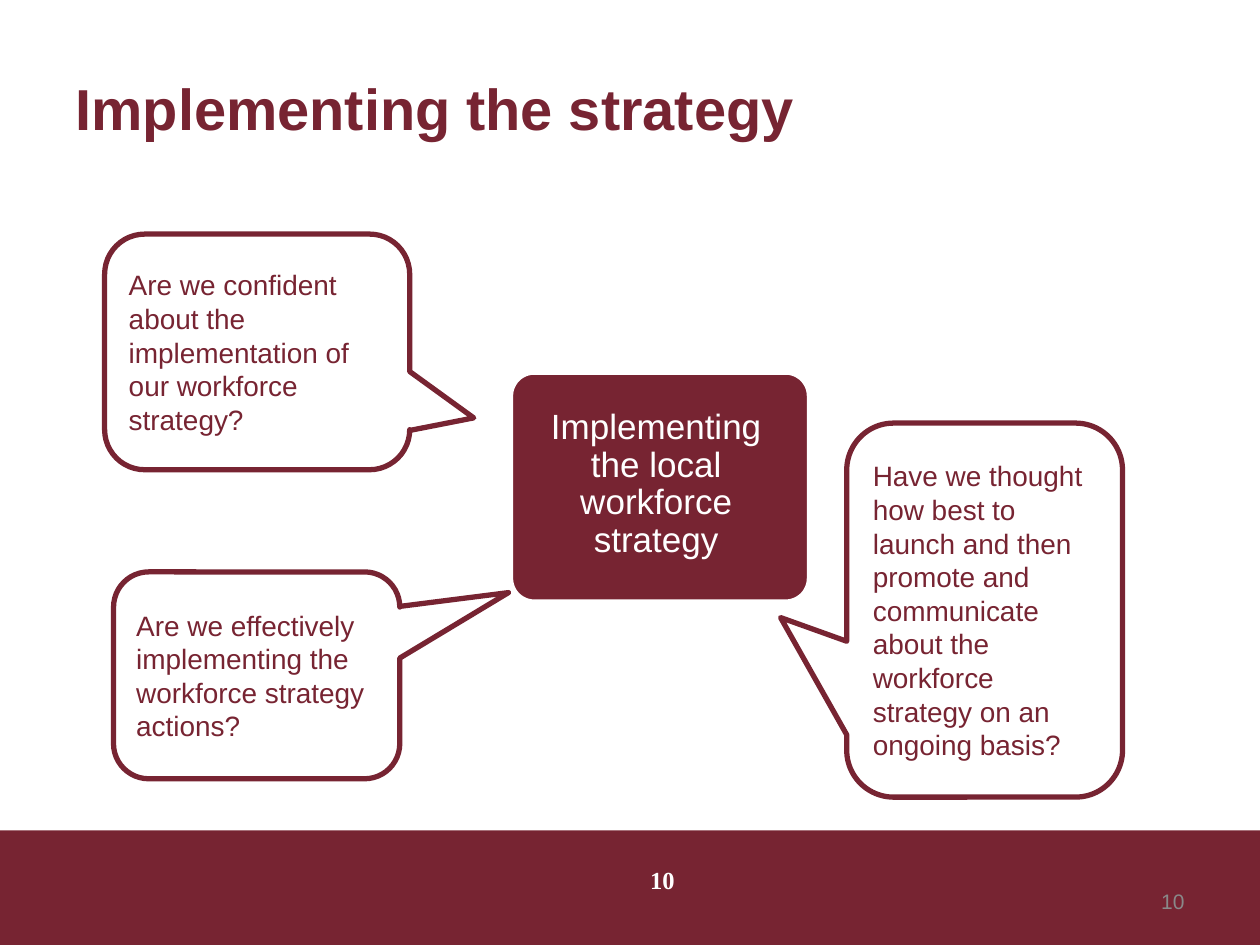
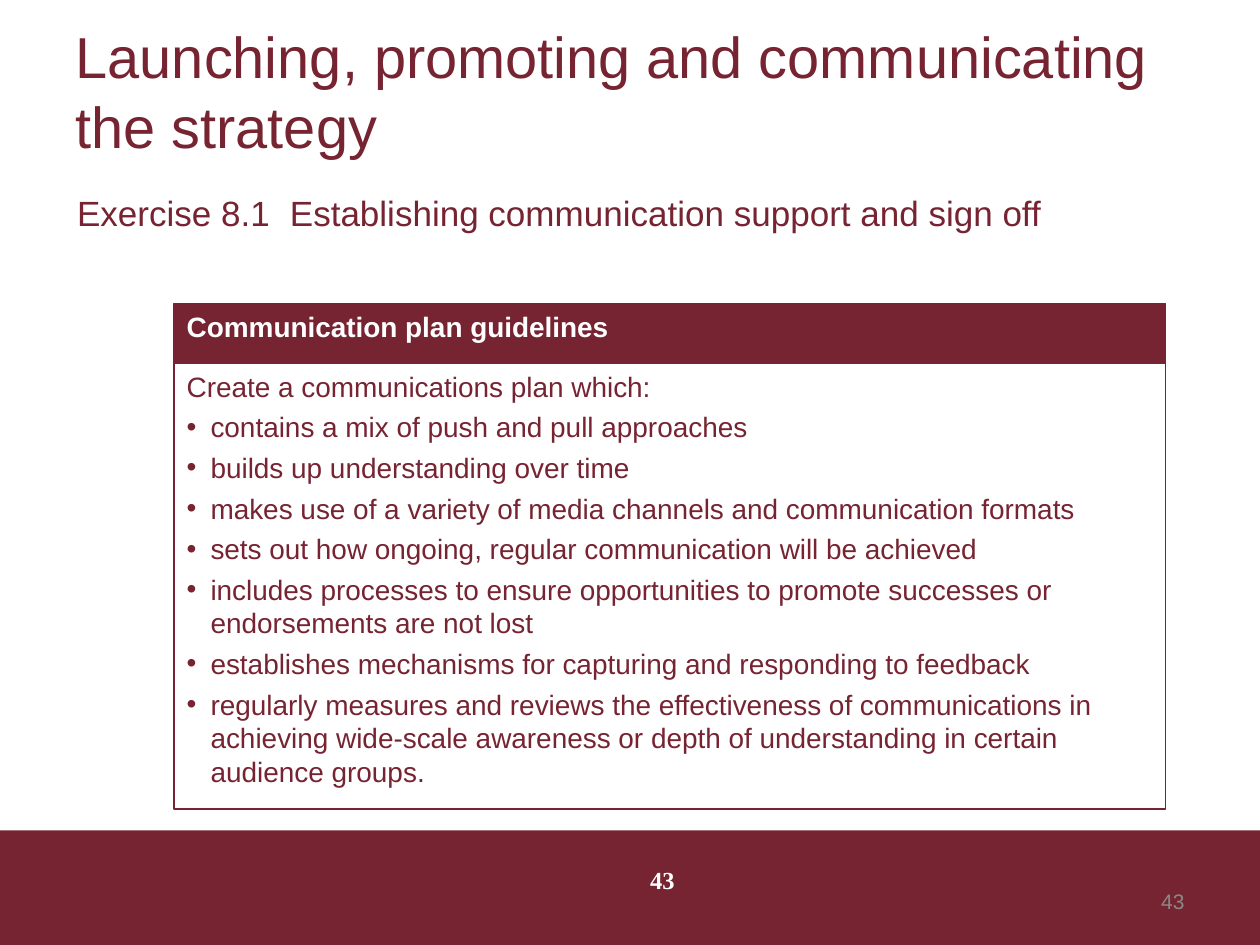
from lxml.etree import SubElement
from pptx import Presentation
from pptx.dml.color import RGBColor
from pptx.enum.shapes import MSO_SHAPE
from pptx.enum.text import MSO_ANCHOR, MSO_AUTO_SIZE, PP_ALIGN
from pptx.oxml.ns import qn
from pptx.util import Cm, Pt

WINE, WHITE, GREY = "772432", "FFFFFF", "898989"
PAGE = (25.4, 19.05)
BAND = (0, 16.74, 25.4, 2.31)
INDENT = 0.48

STRATEGY = {
    "title": "Implementing the strategy",
    "title_at": (1.27, 0.58, 16.64, 3.18),
    "bold": True,
    "number": "10",
}
HUB = ("Implementing the local workforce strategy", (10.31, 7.52, 5.99, 4.6))
QUESTIONS = [
    ("Are we confident about the implementation of our workforce strategy?",
     (2.11, 4.72, 6.15, 4.75), (0.71, 0.28, 0.17)),
    ("Have we thought how best to launch and then promote and communicate "
     "about the workforce strategy on an ongoing basis?",
     (17.07, 8.53, 5.56, 7.54), (-0.74, 0.02, 0.17)),
    ("Are we effectively implementing the workforce strategy actions?",
     (2.29, 11.53, 5.77, 4.17), (0.88, -0.4, 0.17)),
]

LAUNCH = {
    "title": "Launching, promoting and communicating the strategy",
    "title_at": (1.27, 0.41, 23.04, 2.82),
    "bold": False,
    "number": "43",
}
EXERCISE = ("Exercise 8.1\tEstablishing communication support and sign off",
            (1.3, 3.73, 23.9, 2.21))
GUIDELINES = "Communication plan guidelines"
INTRO = "Create a communications plan which:"
POINTS = [
    "contains a mix of push and pull approaches",
    "builds up understanding over time",
    "makes use of a variety of media channels and communication formats",
    "sets out how ongoing, regular communication will be achieved",
    "includes processes to ensure opportunities to promote successes or "
    "endorsements are not lost",
    "establishes mechanisms for capturing and responding to feedback",
    "regularly measures and reviews the effectiveness of communications in "
    "achieving wide-scale awareness or depth of understanding in certain "
    "audience groups.",
]
PANEL = (3.51, 6.12, 19.99)
HEAD_H, LIST_H = 1.2, 8.99


def rgb(value):
    return RGBColor.from_string(value)


def apply(obj, formats):
    for name, value in formats.items():
        setattr(obj, name, value)


def place(sp, at):
    apply(sp, dict(zip(("left", "top", "width", "height"), map(Cm, at))))


def paint(sp, fill=None, line=None, width=0.75):
    if fill:
        sp.fill.solid()
        sp.fill.fore_color.rgb = rgb(fill)
    else:
        sp.fill.background()
    if line:
        sp.line.color.rgb = rgb(line)
        sp.line.width = Pt(width)
    else:
        sp.line.fill.background()


def add_shape(s, kind, at, adjustments=(), **look):
    sp = s.shapes.add_shape(kind, *map(Cm, at))
    sp.shadow.inherit = False
    for i, value in enumerate(adjustments):
        sp.adjustments[i] = value
    paint(sp, **look)
    return sp


def write(sp, lines, size, color=WINE, bold=False, font="Arial",
          anchor=MSO_ANCHOR.TOP, **para):
    tf = sp.text_frame
    apply(tf, {"word_wrap": True, "auto_size": MSO_AUTO_SIZE.NONE,
               "vertical_anchor": anchor})
    for i, line in enumerate(lines):
        p = tf.paragraphs[0] if i == 0 else tf.add_paragraph()
        apply(p, {"alignment": PP_ALIGN.LEFT, "space_before": Pt(4 if i else 0), **para})
        r = p.add_run()
        r.text = line
        apply(r.font, {"name": font, "size": Pt(size), "bold": bold})
        r.font.color.rgb = rgb(color)
    return tf


def hang(p, bullet=None, tab=None):
    pPr = p._p.get_or_add_pPr()
    pPr.set("marL", str(Cm(INDENT)))
    pPr.set("indent", str(-Cm(INDENT)))
    if bullet:
        SubElement(pPr, qn("a:buFont"), typeface="Arial")
        SubElement(pPr, qn("a:buChar"), char=bullet)
    else:
        SubElement(pPr, qn("a:buNone"))
    if tab:
        tabs = SubElement(pPr, qn("a:tabLst"))
        SubElement(tabs, qn("a:tab"), pos=str(Cm(tab)), algn="l")


def add_band(prs, s):
    band = add_shape(s, MSO_SHAPE.RECTANGLE, BAND, fill=WINE)
    prs.slide_master.shapes.element.insert(2, band.element)


def add_slide(prs, layout, info):
    s = prs.slides.add_slide(prs.slide_layouts[layout])
    place(s.shapes.title, info["title_at"])
    write(s.shapes.title, [info["title"]], 33, bold=info["bold"], anchor=MSO_ANCHOR.MIDDLE)
    return s


def add_numbers(s, number):
    corner = s.shapes.add_textbox(*map(Cm, (18.21, 17.65, 5.92, 1.02)))
    write(corner, [number], 12, GREY, anchor=MSO_ANCHOR.MIDDLE, alignment=PP_ALIGN.RIGHT)
    centre = s.shapes.add_textbox(*map(Cm, (12.29, 17.32, 2.13, 1.32)))
    write(centre, [number], 14, WHITE, True, "Times New Roman", alignment=PP_ALIGN.CENTER)


def strategy_slide(prs):
    s = add_slide(prs, 5, STRATEGY)
    add_band(prs, s)
    text, at = HUB
    hub = add_shape(s, MSO_SHAPE.ROUNDED_RECTANGLE, at, [0.1], fill=WINE, line=WHITE, width=2)
    tf = write(hub, [text], 20, WHITE, anchor=MSO_ANCHOR.MIDDLE, alignment=PP_ALIGN.CENTER,
               line_spacing=0.9, space_after=Pt(8.8))
    apply(tf, {"margin_left": Cm(0.1), "margin_right": Cm(0.25),
               "margin_top": Cm(0.18), "margin_bottom": Cm(0.28)})
    for text, at, tail in QUESTIONS:
        sp = add_shape(s, MSO_SHAPE.ROUNDED_RECTANGULAR_CALLOUT, at, tail, line=WINE, width=3)
        write(sp, [text], 16, anchor=MSO_ANCHOR.MIDDLE)
    add_numbers(s, STRATEGY["number"])


def launch_slide(prs):
    s = add_slide(prs, 4, LAUNCH)
    head, points, exercise, spare = list(s.placeholders)[1:]
    spare.element.getparent().remove(spare.element)

    text, at = EXERCISE
    place(exercise, at)
    hang(write(exercise, [text], 20).paragraphs[0], tab=5.08)

    left, top, width = PANEL
    place(head, (left, top, width, HEAD_H))
    paint(head, WINE, WINE)
    hang(write(head, [GUIDELINES], 16, WHITE, True).paragraphs[0])

    place(points, (left, top + HEAD_H, width, LIST_H))
    paint(points, WHITE, WINE)
    tf = write(points, [INTRO, *POINTS], 16)
    for i, p in enumerate(tf.paragraphs):
        hang(p, bullet="•" if i else None)
    add_numbers(s, LAUNCH["number"])


def main():
    """Build the two workforce strategy slides."""
    prs = Presentation()
    prs.slide_width, prs.slide_height = map(Cm, PAGE)
    strategy_slide(prs)
    launch_slide(prs)
    prs.save("out.pptx")


if __name__ == "__main__":
    main()
